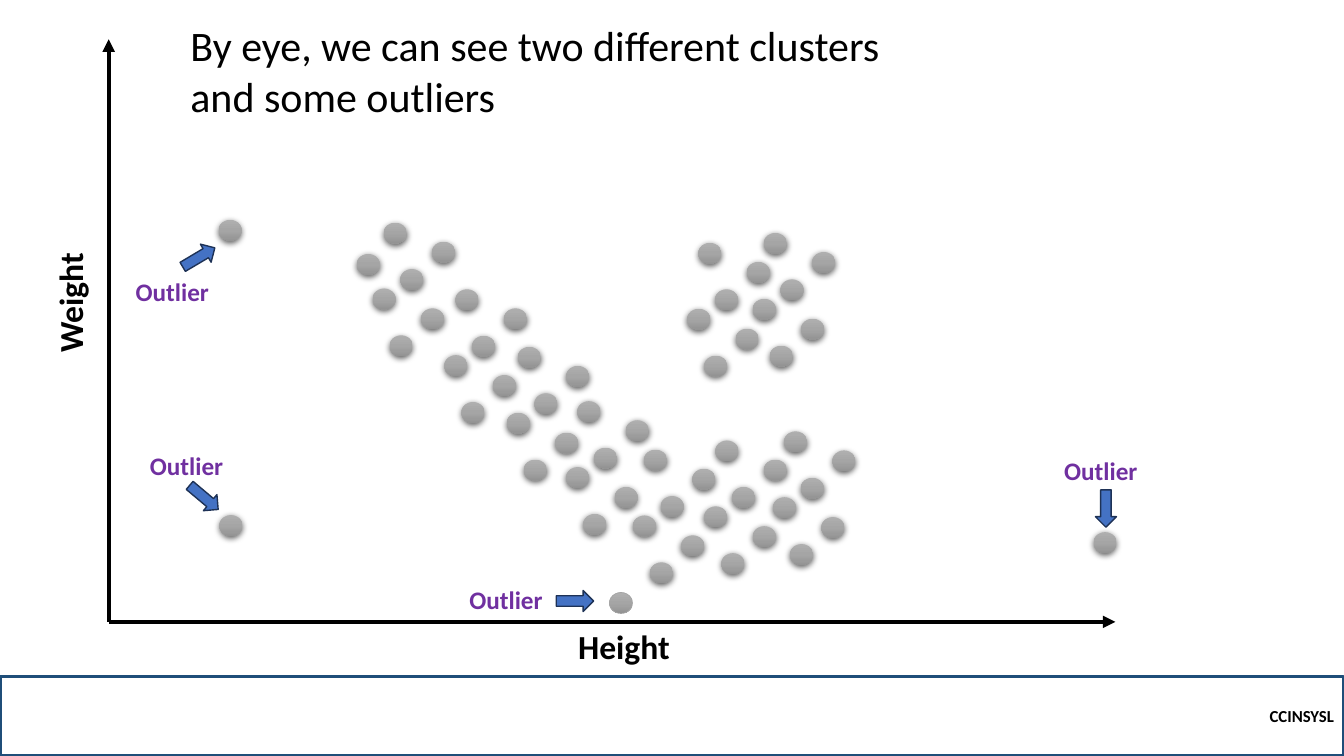
from copy import deepcopy

from lxml import etree
from pptx import Presentation
from pptx import util as u
from pptx.dml.color import RGBColor
from pptx.enum import shapes, text
from pptx.oxml import parse_xml
from pptx.oxml.ns import nsdecls, qn

FONT = "Calibri"
BLACK, GREY, BLUE, PURPLE = "000000", "A5A5A5", "4472C4", "7030A0"
DOT = (0.58, 0.53)
ARROW = (0.94, 0.53)

# Six dots that repeat across the plot, and the corner of each repeat
MOTIF = [(0, 0), (0.42, 1.17), (1.22, 0.48), (-0.28, 1.66), (0.15, 2.84), (0.94, 2.16)]
SPOTS = [
    (14.86, 5.13), (16.51, 4.88),
    (13.49, 10.34), (15.29, 10.11), (17.02, 9.88),
    (6.93, 4.62), (8.74, 6.3), (10.31, 7.75), (11.81, 9.12),
]
LONE = (6.25, 5.41)

# Dot, label, arrow, turn of the arrow, whether the dot has a shadow
OUTLIERS = [
    ((2.77, 4.55), (0.43, 5.84), (1.8, 5.23), 329.3, True),
    ((2.79, 11.99), (0.79, 10.24), (1.93, 11.28), 40.1, True),
    ((24.82, 12.42), (23.83, 10.36), (24.66, 11.56), 90, True),
    ((12.62, 13.94), (8.84, 13.61), (11.28, 13.89), 0, False),
]


def rgb(code):
    return RGBColor.from_string(code)


def place(box, at, size):
    """Lengths for a part that sits at an offset inside box."""
    return [u.Cm(v) for v in (box[0] + at[0], box[1] + at[1], *size)]


def style(frame, size, color, bold):
    for run in frame.paragraphs[0].runs:
        run.font.name = FONT
        run.font.size = u.Pt(size)
        run.font.bold = bold
        run.font.color.rgb = rgb(color)


def label(parent, spot, words, size, color=BLACK, bold=True, wrap=False):
    box = parent.add_textbox(*spot)
    frame = box.text_frame
    frame.text = words
    frame.word_wrap = wrap
    style(frame, size, color, bold)
    return box


def shape(parent, kind, spot):
    item = parent.add_shape(kind, *spot)
    item.shadow.inherit = False
    return item


def shade(fill):
    """Three-stop grey gradient running downwards."""
    fill.gradient()
    fill.gradient_angle = 270
    stops = fill.gradient_stops
    first = stops[0]._gs
    first.addnext(deepcopy(first))
    for stop, (pos, code) in zip(
        fill.gradient_stops, [(0, "AFAFAF"), (0.5, GREY), (1, "939393")]
    ):
        stop.position = pos
        stop.color.rgb = rgb(code)


def dot(parent, box, at, soft=True):
    item = shape(parent, shapes.MSO_SHAPE.OVAL, place(box, at, DOT))
    shade(item.fill)
    if soft:
        item.line.fill.background()
        item._element.spPr.find(qn("a:effectLst")).append(parse_xml(
            f'<a:outerShdw {nsdecls("a")} blurRad="57150" dist="19050" dir="5400000" '
            'algn="ctr" rotWithShape="0"><a:srgbClr val="000000">'
            '<a:alpha val="63000"/></a:srgbClr></a:outerShdw>'
        ))
    else:
        item.line.color.rgb = rgb(GREY)
        item.line.width = u.Pt(0.5)


def axis(parent, start, end):
    line = parent.add_connector(
        shapes.MSO_CONNECTOR.STRAIGHT, *[u.Cm(v) for v in (*start, *end)]
    )
    line.line.color.rgb = rgb(BLACK)
    line.line.width = u.Pt(3)
    etree.SubElement(line.line._get_or_add_ln(), qn("a:tailEnd"), type="triangle")
    etree.SubElement(line._element.spPr, qn("a:effectLst"))


def axes(parent, box):
    left, top, width, height = box
    base = (left, top + height)
    axis(parent, base, (left + width, top + height))
    axis(parent, base, (left, top))
    label(parent, place(box, (11.58, height - 0.02), (2.97, 1.27)), "Height", 24)
    side = label(parent, place(box, (-2.49, 6), (3.02, 1.27)), "Weight", 24)
    side.rotation = 270


def cloud(parent, box):
    for x, y in SPOTS:
        for dx, dy in MOTIF:
            dot(parent, box, (x + dx, y + dy))
    dot(parent, box, LONE)


def strays(parent, box):
    """Outlying dots, each with a label and an arrow."""
    for at, name, tip, turn, soft in OUTLIERS:
        dot(parent, box, at, soft)
        group = parent.add_group_shape().shapes
        label(group, place(box, name, (2.54, 1.02)), "Outlier", 18, PURPLE)
        arrow = shape(group, shapes.MSO_SHAPE.RIGHT_ARROW, place(box, tip, ARROW))
        arrow.rotation = turn
        arrow.fill.solid()
        arrow.fill.fore_color.rgb = rgb(BLUE)
        arrow.line.color.rgb = rgb("1E3256")
        arrow.line.width = u.Pt(1)


def title(parent, box):
    label(parent, place(box, (0, 0), box[2:]),
          "By eye, we can see two different clusters and some outliers",
          30, bold=False, wrap=True)


def footer(parent, box):
    bar = shape(parent, shapes.MSO_SHAPE.RECTANGLE, place(box, (0, 0), box[2:]))
    bar.fill.background()
    bar.line.color.rgb = rgb("1F4E79")
    bar.line.width = u.Pt(2.25)
    frame = bar.text_frame
    frame.text = "CCINSYSL"
    frame.vertical_anchor = text.MSO_ANCHOR.MIDDLE
    frame.paragraphs[0].alignment = text.PP_ALIGN.RIGHT
    style(frame, 12, BLACK, True)


def main():
    deck = Presentation()
    deck.slide_width, deck.slide_height = u.Cm(33.87), u.Cm(19.05)
    parts = deck.slides.add_slide(deck.slide_layouts[6]).shapes
    plot = (2.74, 0.99, 25.37, 14.68)
    footer(parts, (0, 17.04, 33.87, 2.01))
    axes(parts, plot)
    title(parts, (4.55, 0.38, 19.2, 2.82))
    cloud(parts, plot)
    strays(parts, plot)
    deck.save("out.pptx")


if __name__ == "__main__":
    main()
